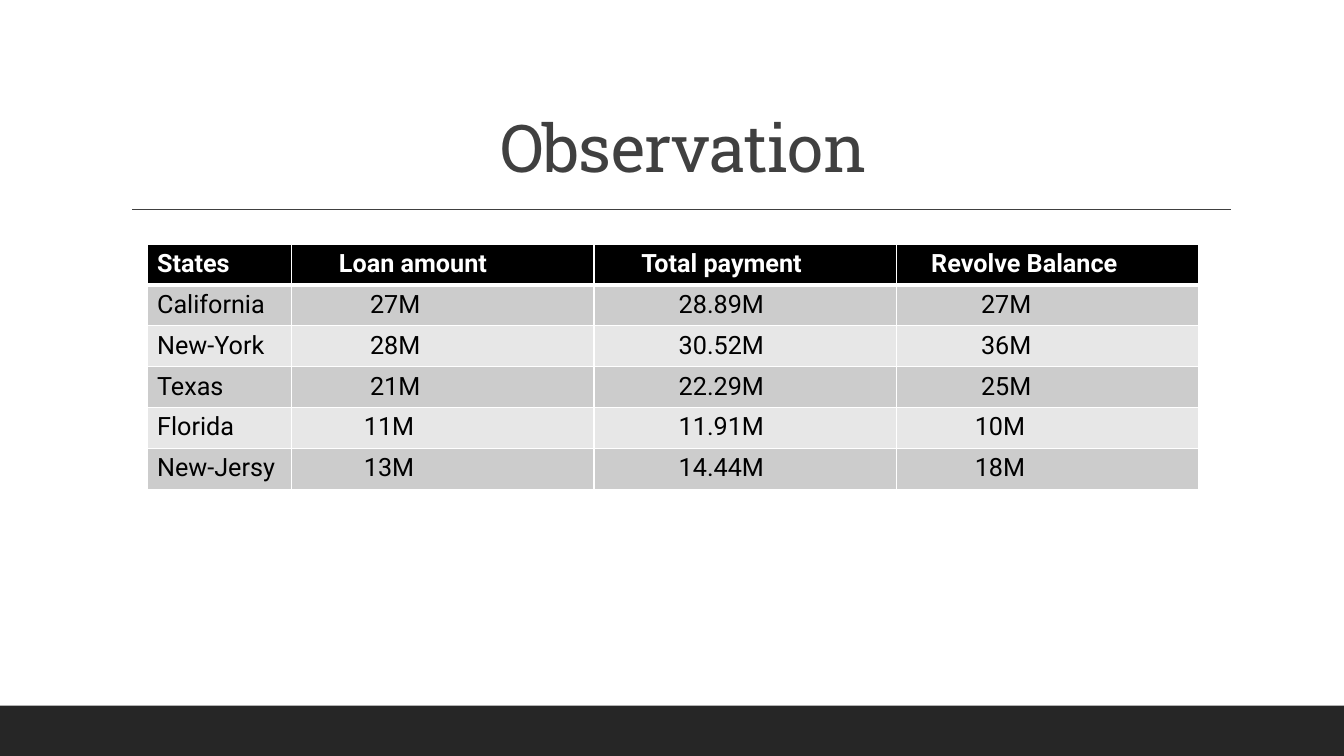
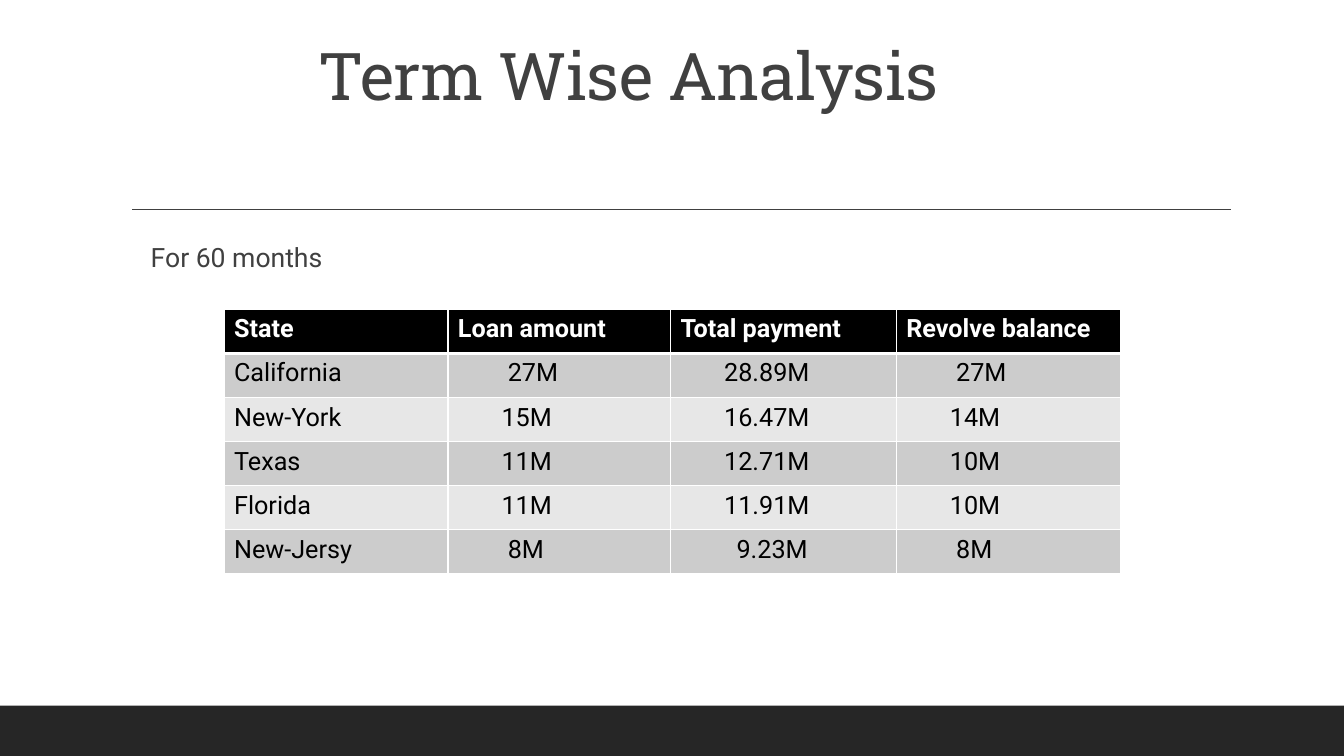
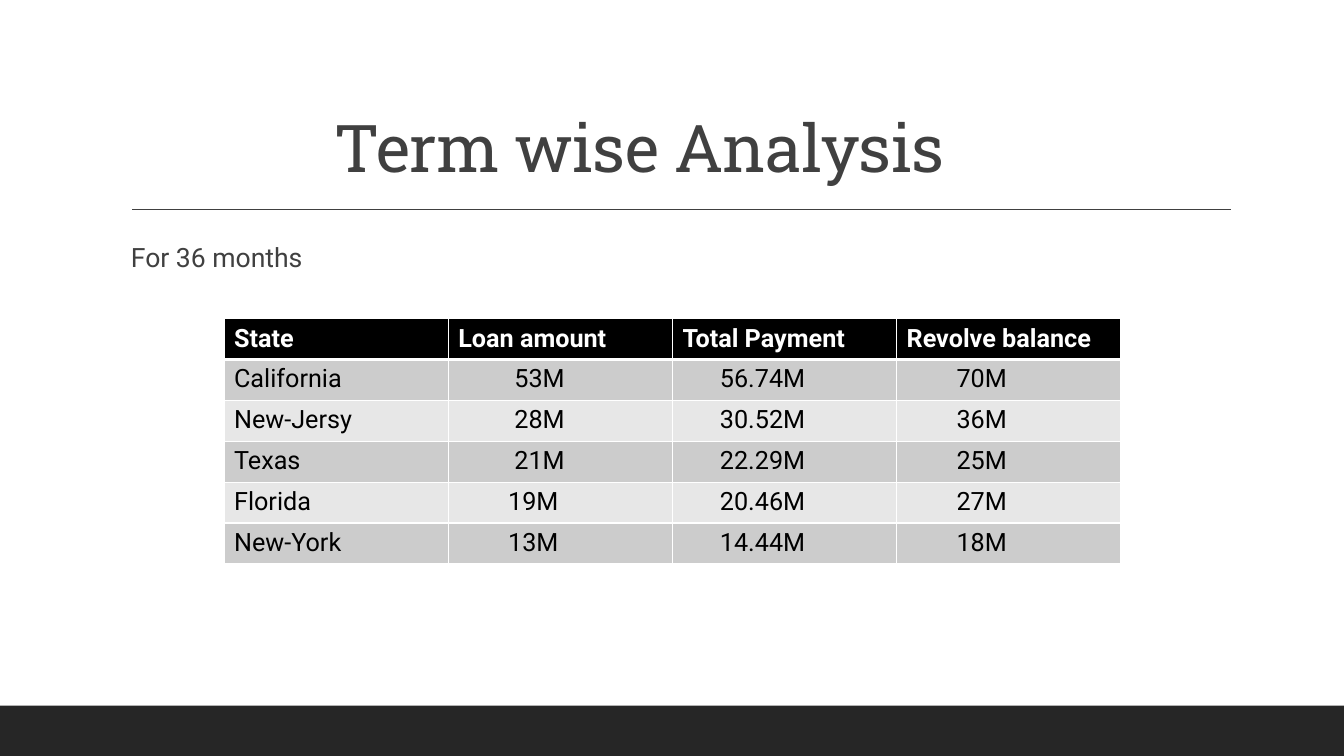
from lxml import etree
from pptx import Presentation
from pptx.dml.color import RGBColor
from pptx.enum.shapes import MSO_CONNECTOR, MSO_SHAPE
from pptx.enum.text import MSO_ANCHOR, PP_ALIGN
from pptx.oxml.ns import qn
from pptx.util import Cm, Pt

RECT, STRAIGHT = MSO_SHAPE.RECTANGLE, MSO_CONNECTOR.STRAIGHT
BOTTOM, LEFT, CENTER = MSO_ANCHOR.BOTTOM, PP_ALIGN.LEFT, PP_ALIGN.CENTER

# Colours and text formats
WHITE = RGBColor(0xFF, 0xFF, 0xFF)
BLACK = RGBColor(0x00, 0x00, 0x00)
BAND = RGBColor(0x26, 0x26, 0x26)
GREY = RGBColor(0x40, 0x40, 0x40)
ROW_FILLS = [RGBColor(0xE7, 0xE7, 0xE7), RGBColor(0xCC, 0xCC, 0xCC)]

TITLE = {"name": "Roboto Slab", "size": Pt(47), "bold": False}
BODY = {"name": "Roboto", "size": Pt(19), "bold": False}
HEADER = {"name": "Roboto", "size": Pt(18), "bold": True}
CELL = {"name": "Roboto", "size": Pt(18), "bold": False}

INSET = Cm(0.25)
TEN_STEPS = Cm(1.57)  # ten steps of cell indent

# Slide contents; each table row holds its texts and the indent steps of its cells
SLIDES = [
    {
        "title": "Observation", "align": CENTER, "indent": 0.4, "lift": 0,
        "note": None, "note_indent": 0,
        "left": 3.71, "top": 6.15, "cols": [3.64, 7.62, 7.62, 7.62], "row": 1.03,
        "rows": [
            (["States", "Loan amount", "Total payment", "Revolve Balance"], [0, 6, 6, 4]),
            (["California", "27M", "28.89M", "27M"], [0, 11, 12, 12]),
            (["New-York", "28M", "30.52M", "36M"], [0, 11, 12, 12]),
            (["Texas", "21M", "22.29M", "25M"], [0, 11, 12, 12]),
            (["Florida", "11M", "11.91M", "10M"], [0, 10, 12, 11]),
            (["New-Jersy", "13M", "14.44M", "18M"], [0, 10, 12, 11]),
        ],
    },
    {
        "title": "Term Wise Analysis", "align": LEFT, "indent": 4.74, "lift": 1.81,
        "note": "For 60 months", "note_indent": 0.5,
        "left": 5.65, "top": 7.8, "cols": [5.64, 5.61, 5.69, 5.64], "row": 1.11,
        "rows": [
            (["State", "Loan amount", "Total payment", "Revolve balance"], [0, 0, 0, 0]),
            (["California", "27M", "28.89M", "27M"], [0, 8, 7, 8]),
            (["New-York", "15M", "16.47M", "14M"], [0, 7, 7, 7]),
            (["Texas", "11M", "12.71M", "10M"], [0, 7, 7, 7]),
            (["Florida", "11M", "11.91M", "10M"], [0, 7, 7, 7]),
            (["New-Jersy", "8M", "9.23M", "8M"], [0, 8, 9, 8]),
        ],
    },
    {
        "title": "Term wise Analysis", "align": LEFT, "indent": 5.14, "lift": 0,
        "note": "For 36 months", "note_indent": 0,
        "left": 5.65, "top": 8.03, "cols": [5.65] * 4, "row": 1.03,
        "rows": [
            (["State", "Loan amount", "Total Payment", "Revolve balance"], [0, 0, 0, 0]),
            (["California", "53M", "56.74M", "70M"], [0, 9, 6, 8]),
            (["New-Jersy", "28M", "30.52M", "36M"], [0, 9, 6, 8]),
            (["Texas", "21M", "22.29M", "25M"], [0, 9, 6, 8]),
            (["Florida", "19M", "20.46M", "27M"], [0, 8, 6, 8]),
            (["New-York", "13M", "14.44M", "18M"], [0, 8, 6, 8]),
        ],
    },
]


def add_run(p, text, fmt, color):
    r = p.add_run()
    r.text = text
    for key, value in fmt.items():
        setattr(r.font, key, value)
    r.font.color.rgb = color
    return r


def add_borders(cell, widths):
    tcPr = cell._tc.get_or_add_tcPr()
    for side, width in widths.items():
        ln = etree.SubElement(tcPr, qn(f"a:ln{side}"), w=str(Pt(width)))
        fill = etree.SubElement(ln, qn("a:solidFill"))
        etree.SubElement(fill, qn("a:srgbClr"), val=str(WHITE))


prs = Presentation()
prs.slide_width, prs.slide_height = Cm(33.87), Cm(19.05)

for page in SLIDES:
    s = prs.slides.add_slide(prs.slide_layouts[6])

    # Footer band
    sp = s.shapes.add_shape(RECT, 0, Cm(17.78), prs.slide_width, Cm(1.27))
    sp.shadow.inherit = False
    sp.fill.solid()
    sp.fill.fore_color.rgb = BAND
    sp.line.fill.background()

    # Rule under the title
    rule = s.shapes.add_connector(STRAIGHT, Cm(3.33), Cm(5.28), Cm(31.01), Cm(5.28))
    rule.line.color.rgb = GREY
    rule.line.width = Pt(1)
    etree.SubElement(rule._element.spPr, qn("a:effectLst"))

    # Title
    tf = s.shapes.add_textbox(Cm(3.05), Cm(0.79), Cm(27.94), Cm(4.04)).text_frame
    tf.word_wrap = True
    tf.vertical_anchor = BOTTOM
    tf.margin_left = INSET + Cm(page["indent"])
    tf.margin_bottom = Cm(0.13 + page["lift"])
    p = tf.paragraphs[0]
    p.alignment = page["align"]
    p.line_spacing = 0.9
    r = add_run(p, page["title"], TITLE, GREY)
    r._r.get_or_add_rPr().set("spc", "-50")

    # Loan term
    if page["note"]:
        tf = s.shapes.add_textbox(Cm(3.05), Cm(5.87), Cm(27.94), Cm(10.44)).text_frame
        tf.word_wrap = True
        tf.margin_left = INSET + Cm(page["note_indent"])
        tf.margin_right = 0
        p = tf.paragraphs[0]
        p.line_spacing = 1.1
        p.space_before, p.space_after = Pt(12), Pt(2)
        add_run(p, page["note"], BODY, GREY)

    # Table of states
    rows, cols = page["rows"], page["cols"]
    table = s.shapes.add_table(
        len(rows), len(cols), Cm(page["left"]), Cm(page["top"]),
        Cm(sum(cols)), Cm(page["row"] * len(rows))).table
    for column, width in zip(table.columns, cols):
        column.width = Cm(width)
    for i, (texts, steps) in enumerate(rows):
        table.rows[i].height = Cm(page["row"])
        is_header = i == 0
        for j, (text, step) in enumerate(zip(texts, steps)):
            cell = table.cell(i, j)
            cell.margin_left = INSET + TEN_STEPS * step // 10
            add_borders(cell, {"L": 1, "R": 1, "T": 3 if i == 1 else 1,
                               "B": 3 if is_header else 1})
            cell.fill.solid()
            cell.fill.fore_color.rgb = BLACK if is_header else ROW_FILLS[i % 2]
            add_run(cell.text_frame.paragraphs[0], text,
                    HEADER if is_header else CELL, WHITE if is_header else BLACK)

prs.save("out.pptx")
